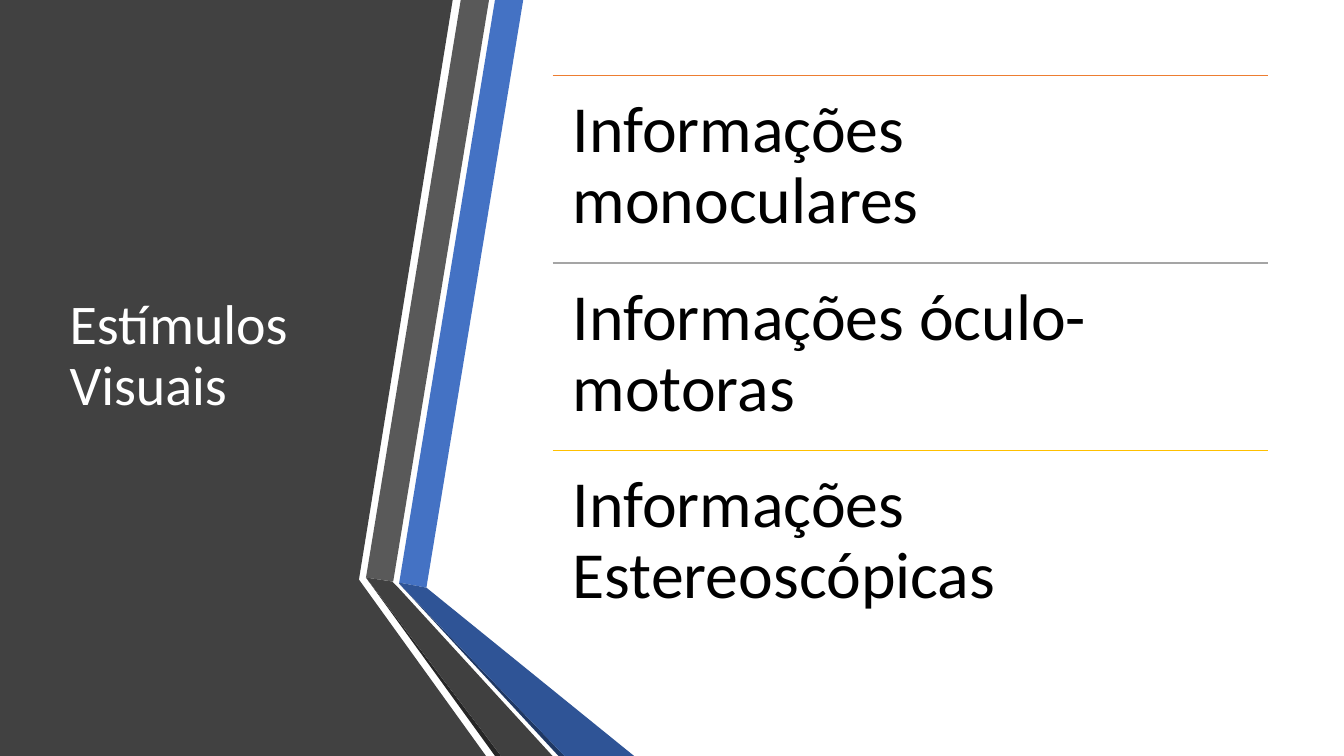
from lxml import etree
from pptx import Presentation
from pptx.dml.color import RGBColor
from pptx.enum.shapes import MSO_CONNECTOR
from pptx.enum.text import MSO_ANCHOR, MSO_AUTO_SIZE, PP_ALIGN
from pptx.oxml.ns import qn
from pptx.util import Inches, Pt

STRAIGHT = MSO_CONNECTOR.STRAIGHT
TOP, MIDDLE = MSO_ANCHOR.TOP, MSO_ANCHOR.MIDDLE
LEFT = PP_ALIGN.LEFT
NO_AUTOFIT = MSO_AUTO_SIZE.NONE

WHITE = RGBColor(0xFF, 0xFF, 0xFF)
BLACK = RGBColor(0x00, 0x00, 0x00)
PANEL_GREY = RGBColor(0x41, 0x41, 0x41)
BAND_GREY = RGBColor(0x59, 0x59, 0x59)
FOLD_GREY = RGBColor(0x40, 0x40, 0x40)
EDGE_GREY = RGBColor(0x26, 0x26, 0x26)
BLUE = RGBColor(0x44, 0x72, 0xC4)
FOLD_BLUE = RGBColor(0x2F, 0x54, 0x96)
EDGE_BLUE = RGBColor(0x1F, 0x38, 0x64)
ORANGE = RGBColor(0xED, 0x7D, 0x31)
RULE_GREY = RGBColor(0xA5, 0xA5, 0xA5)
GOLD = RGBColor(0xFF, 0xC0, 0x00)

FONT = "Calibri"
TITLE = "Estímulos Visuais"
ITEMS = [
    ("Informações monoculares", ORANGE),
    ("Informações óculo-motoras", RULE_GREY),
    ("Informações Estereoscópicas", GOLD),
]
# Outlines in inches, from back to front
RIBBONS = [
    (PANEL_GREY, [(0, 0), (4.49, 0), (3.56, 5.75), (4.82, 7.5), (0, 7.5)]),
    (BLUE, [(3.96, 5.78), (4.23, 5.83), (5.19, 0), (4.91, 0)]),
    (BAND_GREY, [(4.85, 0), (4.57, 0), (3.63, 5.73), (3.9, 5.77)]),
    (EDGE_GREY, [(3.63, 5.73), (4.91, 7.5), (4.97, 7.5)]),
    (EDGE_BLUE, [(3.96, 5.79), (5.54, 7.5), (5.6, 7.5)]),
    (FOLD_BLUE, [(3.96, 5.79), (5.6, 7.5), (6.29, 7.5), (4.23, 5.83),
                 (3.96, 5.78)]),
    (FOLD_GREY, [(5.48, 7.5), (3.95, 5.83), (3.89, 5.77), (3.63, 5.73),
                 (4.97, 7.5)]),
]
LIST_LEFT, LIST_TOP, LIST_WIDTH, ROW_HEIGHT = 5.48, 0.75, 7.1, 1.86


def add_ribbon(slide, color, points):
    corners = [(Inches(x), Inches(y)) for x, y in points]
    builder = slide.shapes.build_freeform(*corners[0])
    builder.add_line_segments(corners[1:], close=True)
    ribbon = builder.convert_to_shape()
    ribbon.shadow.inherit = False
    ribbon.fill.solid()
    ribbon.fill.fore_color.rgb = color
    ribbon.line.fill.background()


def write(box, text, size, color, anchor, inset_x, inset_y):
    frame = box.text_frame
    frame.word_wrap = True
    frame.auto_size = NO_AUTOFIT
    frame.vertical_anchor = anchor
    frame.margin_left = frame.margin_right = Inches(inset_x)
    frame.margin_top = frame.margin_bottom = Inches(inset_y)
    para = frame.paragraphs[0]
    para.text = text
    para.alignment = LEFT
    para.line_spacing = 0.9
    para.font.name = FONT
    para.font.size = Pt(size)
    para.font.color.rgb = color


def add_rule(slide, top, color):
    rule = slide.shapes.add_connector(
        STRAIGHT, Inches(LIST_LEFT), Inches(top),
        Inches(LIST_LEFT + LIST_WIDTH), Inches(top))
    rule.line.color.rgb = color
    rule.line.width = Pt(1)
    etree.SubElement(rule._element.spPr, qn("a:effectLst"))


def main():
    deck = Presentation()
    deck.slide_width, deck.slide_height = Inches(13.33), Inches(7.5)
    slide = deck.slides.add_slide(deck.slide_layouts[5])

    for color, points in RIBBONS:
        add_ribbon(slide, color, points)

    title = slide.shapes.title
    title.left, title.top = Inches(0.59), Inches(0.75)
    title.width, title.height = Inches(3.04), Inches(5.58)
    write(title, TITLE, 40, WHITE, MIDDLE, 0.1, 0.05)
    # Bring the title in front of the panel
    slide.shapes._spTree.append(title._element)

    for row, (text, color) in enumerate(ITEMS):
        top = LIST_TOP + row * ROW_HEIGHT
        add_rule(slide, top, color)
        box = slide.shapes.add_textbox(Inches(LIST_LEFT), Inches(top),
                                       Inches(LIST_WIDTH), Inches(ROW_HEIGHT))
        write(box, text, 47, BLACK, TOP, 0.2, 0.2)

    deck.save("out.pptx")


if __name__ == "__main__":
    main()
